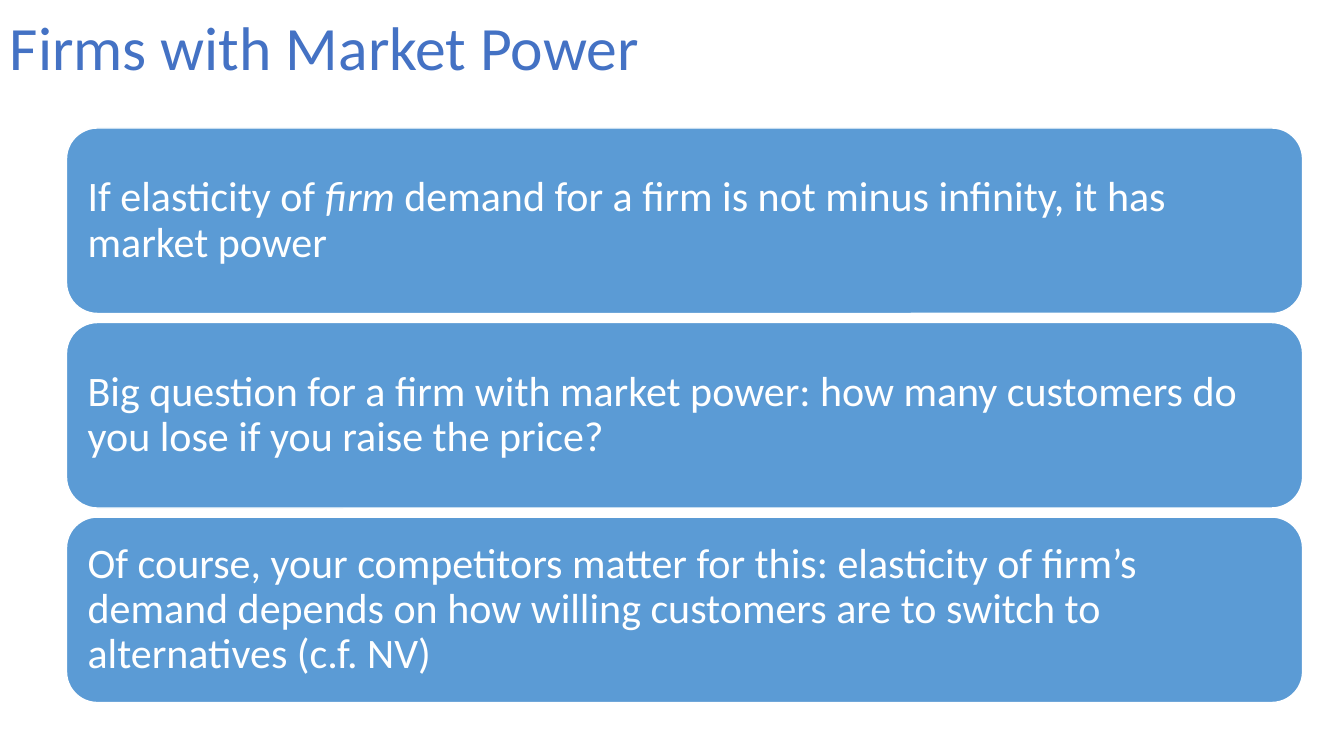
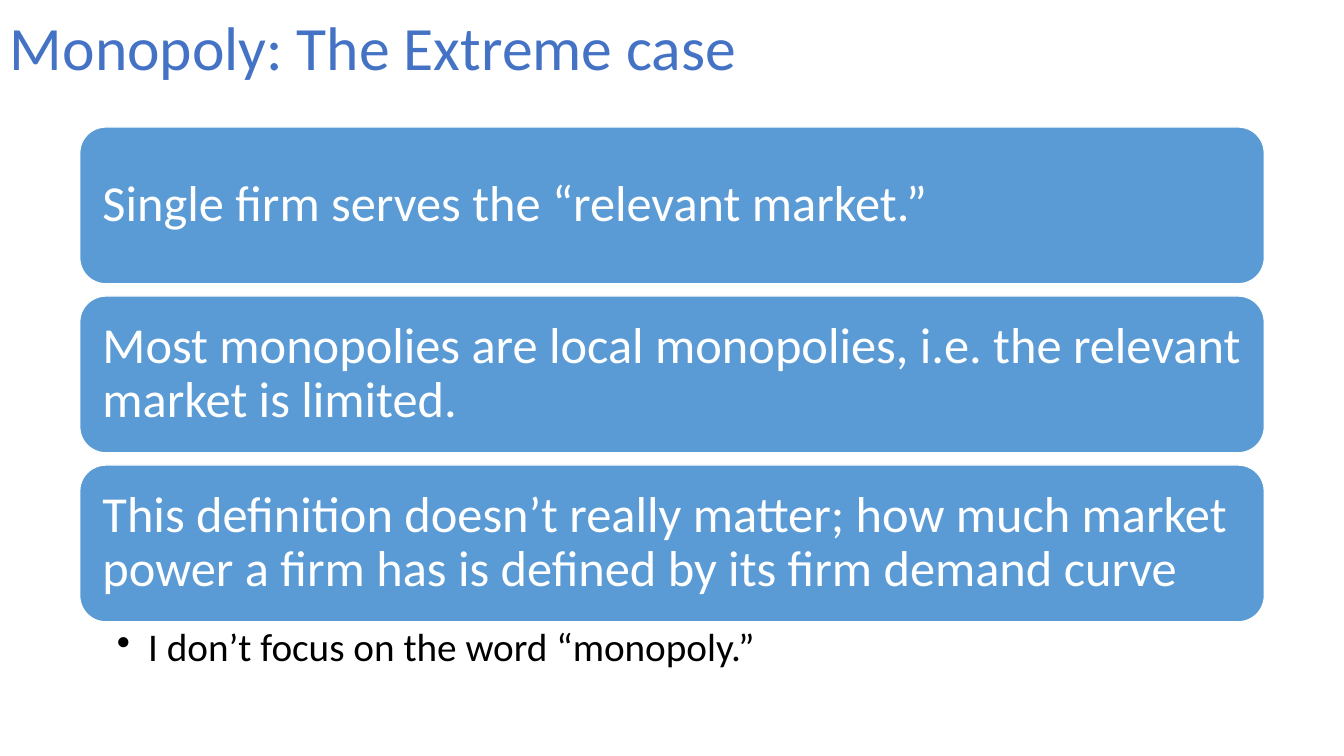
from dataclasses import dataclass

from lxml.etree import SubElement
from pptx import Presentation
from pptx.dml.color import RGBColor
from pptx.enum.shapes import MSO_SHAPE
from pptx.enum.text import MSO_ANCHOR, PP_ALIGN
from pptx.oxml.ns import qn
from pptx.util import Emu, Pt


@dataclass(frozen=True)
class Theme:
    font: str = "Calibri"
    title: RGBColor = RGBColor(0x44, 0x72, 0xC4)
    card: RGBColor = RGBColor(0x5B, 0x9B, 0xD5)
    light: RGBColor = RGBColor(255, 255, 255)
    dark: RGBColor = RGBColor(0, 0, 0)
    title_size: int = 44
    note_size: int = 28
    edge: int = 1
    leading: float = 0.9


THEME = Theme()


def px(n):
    """Convert px to EMU, at 100 px to the inch."""
    return Emu(round(n * 9144))


def write(shape, runs, size, color, pads, anchor=MSO_ANCHOR.MIDDLE, bullet=0):
    """Fill a shape with one paragraph of (text, italic) runs."""
    frame = shape.text_frame
    frame.word_wrap = True
    frame.vertical_anchor = anchor
    (frame.margin_left, frame.margin_top,
     frame.margin_right, frame.margin_bottom) = map(px, pads)
    para = frame.paragraphs[0]
    para.alignment = PP_ALIGN.LEFT
    para.line_spacing = THEME.leading
    if bullet:
        props = para._p.get_or_add_pPr()
        props.set("marL", str(px(bullet)))
        props.set("indent", str(-px(bullet)))
        SubElement(props, qn("a:buChar"), char="•")
    font = para.font
    font.name, font.size, font.color.rgb = THEME.font, Pt(size), color
    for text, slant in runs:
        run = para.add_run()
        run.text = text
        if slant:
            run.font.italic = True


def add_title(slide, text):
    box = slide.shapes.add_textbox(0, 0, px(850), px(100))
    write(box, [(text, False)], THEME.title_size, THEME.title, (10, 5, 10, 5))


def add_card(slide, box, runs, size, pad):
    card = slide.shapes.add_shape(MSO_SHAPE.ROUNDED_RECTANGLE, *map(px, box))
    card.shadow.inherit = False
    card.fill.solid()
    card.fill.fore_color.rgb = THEME.card
    card.line.color.rgb = THEME.light
    card.line.width = Pt(THEME.edge)
    write(card, runs, size, THEME.light, (pad,) * 4)


def add_stack(slide, box, gap, items, size, pad):
    """Share the height of a box equally among cards."""
    left, top, width, height = box
    tall = (height - gap * (len(items) - 1)) / len(items)
    for i, runs in enumerate(items):
        spot = (left, top + i * (tall + gap), width, tall)
        add_card(slide, spot, runs, size, pad)


def add_note(slide, box, text):
    note = slide.shapes.add_textbox(*map(px, box))
    write(note, [(text, False)], THEME.note_size, THEME.dark,
          (37, 5, 28, 5), MSO_ANCHOR.TOP, bullet=31)


def add_slide(deck, title):
    slide = deck.slides.add_slide(deck.slide_layouts[6])
    add_title(slide, title)
    return slide


def main():
    deck = Presentation()
    deck.slide_width, deck.slide_height = px(1333), px(750)

    firms = add_slide(deck, "Firms with Market Power")
    add_stack(firms, (66, 127, 1226, 570), 9, [
        [("If elasticity of ", False), ("firm", True),
         (" demand for a firm is not minus infinity, it has market power",
          False)],
        [("Big question for a firm with market power: how many customers "
          "do you lose if you raise the price?", False)],
        [("Of course, your competitors matter for this: elasticity of "
          "firm’s demand depends on how willing customers are to switch "
          "to alternatives (c.f. NV)", False)],
    ], size=30, pad=12)

    monopoly = add_slide(deck, "Monopoly: The Extreme case")
    add_stack(monopoly, (79, 126, 1175, 491), 12, [
        [("Single firm serves the “relevant market.”", False)],
        [("Most monopolies are local monopolies, i.e. the relevant market "
          "is limited.", False)],
        [("This definition doesn’t really matter; how much market power "
          "a firm has is defined by its firm demand curve", False)],
    ], size=36, pad=15)
    add_note(monopoly, (79, 618, 1175, 65),
             "I don’t focus on the word “monopoly.”")

    deck.save("out.pptx")


if __name__ == "__main__":
    main()
